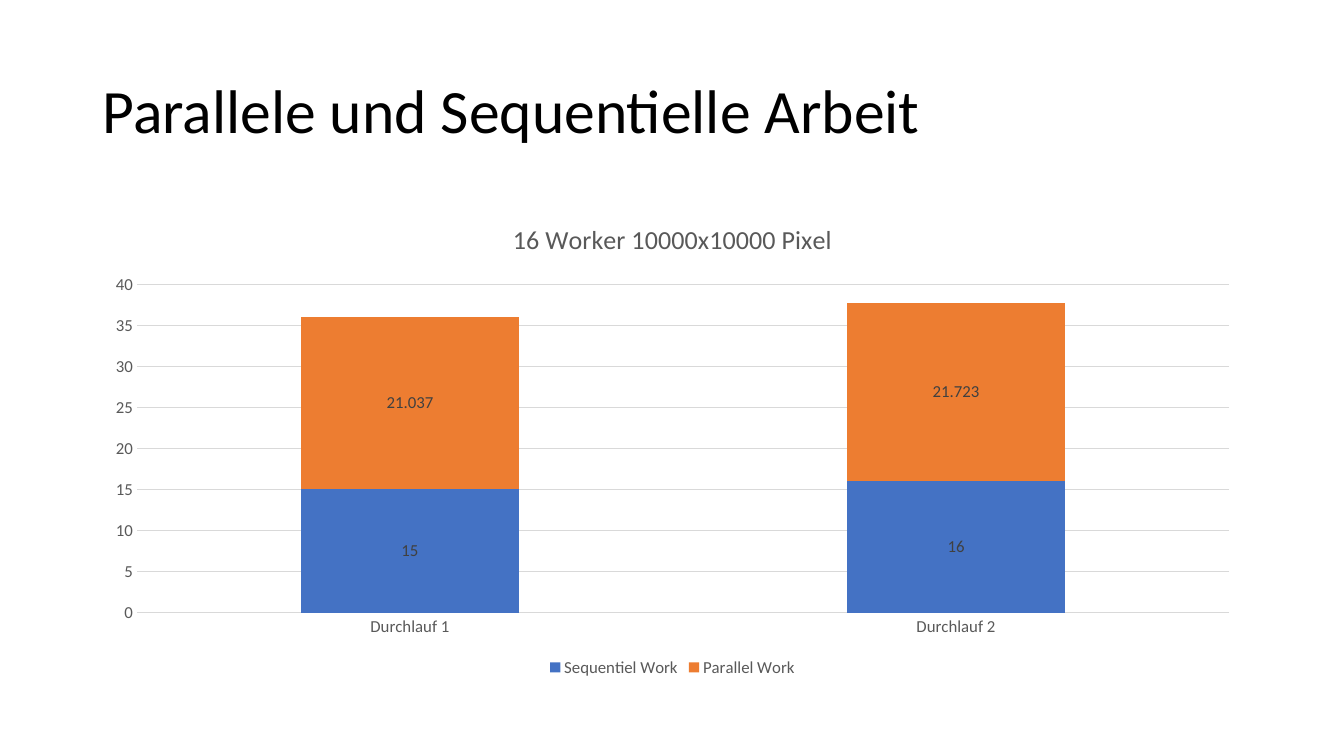
from dataclasses import dataclass

from pptx import Presentation
from pptx.chart.data import CategoryChartData
from pptx.dml.color import RGBColor
from pptx.enum.chart import XL_CHART_TYPE, XL_LABEL_POSITION, XL_LEGEND_POSITION, XL_TICK_MARK
from pptx.enum.text import MSO_ANCHOR
from pptx.util import Inches, Pt

HEADING = "Parallele und Sequentielle Arbeit"
CHART_TITLE = "16 Worker 10000x10000 Pixel"
RUNS = ["Durchlauf 1", "Durchlauf 2"]
WORK = [  # name, values, colour, label format
    ("Sequentiel Work", (15, 16), "4472C4", "#,##0"),
    ("Parallel Work", (21.037, 21.723), "ED7D31", "General"),
]


@dataclass(frozen=True)
class Theme:
    font: str = "Calibri"
    heading: str = "000000"
    muted: str = "595959"
    label: str = "404040"
    grid: str = "D9D9D9"
    heading_size: float = 44
    title_size: float = 18.6
    chart_size: float = 12
    line_width: float = 0.75


THEME = Theme()
SLIDE_WIDTH, SLIDE_HEIGHT = Inches(13.33), Inches(7.5)
MARGIN = Inches(0.92)
CONTENT_WIDTH = Inches(11.5)
HEADING_TOP, HEADING_HEIGHT = Inches(0.4), Inches(1.45)
CHART_TOP, CHART_HEIGHT = Inches(2), Inches(4.76)


def set_all(target, **values):
    for attribute, value in values.items():
        setattr(target, attribute, value)


def style_font(font, size, colour):
    set_all(font, name=THEME.font, size=Pt(size), bold=False)
    font.color.rgb = RGBColor.from_string(colour)


def style_line(line):
    line.width = Pt(THEME.line_width)
    line.color.rgb = RGBColor.from_string(THEME.grid)


def add_heading(slide):
    frame = slide.shapes.add_textbox(MARGIN, HEADING_TOP, CONTENT_WIDTH, HEADING_HEIGHT).text_frame
    set_all(frame, word_wrap=True, vertical_anchor=MSO_ANCHOR.MIDDLE, text=HEADING)
    paragraph = frame.paragraphs[0]
    paragraph.line_spacing = 0.9
    style_font(paragraph.runs[0].font, THEME.heading_size, THEME.heading)


def add_work_chart(slide):
    work_data = CategoryChartData()
    work_data.categories = RUNS
    for name, seconds, _, label_format in WORK:
        work_data.add_series(name, seconds, label_format)
    chart = slide.shapes.add_chart(
        XL_CHART_TYPE.COLUMN_STACKED, MARGIN, CHART_TOP, CONTENT_WIDTH, CHART_HEIGHT, work_data
    ).chart
    style_font(chart.font, THEME.chart_size, THEME.muted)

    chart.has_title = True
    chart.chart_title.include_in_layout = False
    title = chart.chart_title.text_frame
    title.text = CHART_TITLE
    style_font(title.paragraphs[0].runs[0].font, THEME.title_size, THEME.muted)

    chart.has_legend = True
    set_all(chart.legend, position=XL_LEGEND_POSITION.BOTTOM, include_in_layout=False)
    style_font(chart.legend.font, THEME.chart_size, THEME.muted)

    for axis in (chart.category_axis, chart.value_axis):
        set_all(axis, major_tick_mark=XL_TICK_MARK.NONE, minor_tick_mark=XL_TICK_MARK.NONE)
        style_font(axis.tick_labels.font, THEME.chart_size, THEME.muted)
    style_line(chart.category_axis.format.line)
    chart.value_axis.format.line.fill.background()
    style_line(chart.value_axis.major_gridlines.format.line)
    set_all(chart.value_axis, minimum_scale=0, maximum_scale=40, major_unit=5)
    set_all(chart.value_axis.tick_labels, number_format="#,##0", number_format_is_linked=False)

    plot = chart.plots[0]
    set_all(plot, gap_width=150, overlap=100, vary_by_categories=False)
    for series, (_, _, colour, label_format) in zip(plot.series, WORK):
        series.format.fill.solid()
        series.format.fill.fore_color.rgb = RGBColor.from_string(colour)
        set_all(series.data_labels, show_value=True, position=XL_LABEL_POSITION.CENTER,
                number_format=label_format, number_format_is_linked=False)
        style_font(series.data_labels.font, THEME.chart_size, THEME.label)


def main():
    deck = Presentation()
    set_all(deck, slide_width=SLIDE_WIDTH, slide_height=SLIDE_HEIGHT)
    slide = deck.slides.add_slide(deck.slide_layouts[6])
    add_heading(slide)
    add_work_chart(slide)
    deck.save("out.pptx")


if __name__ == "__main__":
    main()
